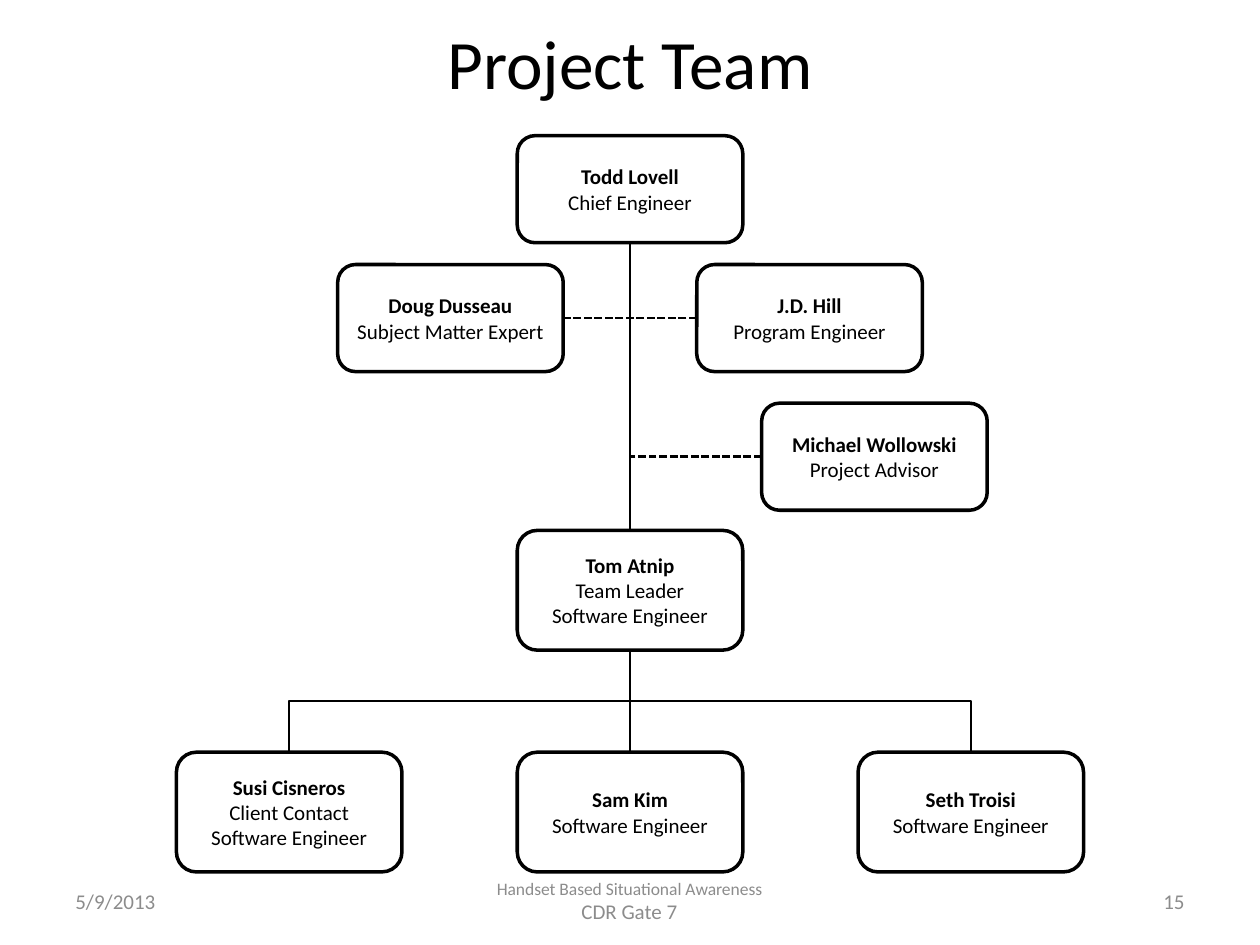
import pptx
import pptx.dml.color
import pptx.enum.dml
import pptx.enum.shapes
import pptx.enum.text
import pptx.oxml.ns
import pptx.util
from lxml import etree

BLACK = pptx.dml.color.RGBColor(0x00, 0x00, 0x00)
WHITE = pptx.dml.color.RGBColor(0xFF, 0xFF, 0xFF)
GRAY = pptx.dml.color.RGBColor(0x8C, 0x8C, 0x8C)
FONT = "Calibri"
SLIDE_W = pptx.util.Inches(10)
SLIDE_H = pptx.util.Inches(7.5)
BOX_W, SHORT, TALL = 17.9, 11.33, 12.67
LEFT_COL, MID_COL, RIGHT_COL = 22.95, 50, 77.05
LEFT_SIDE, RIGHT_SIDE, ADVISOR_COL = 35.75, 64.25, 69.4
CHIEF_ROW, SUPPORT_ROW, ADVISOR_ROW, LEADER_ROW, TEAM_ROW = 14.36, 28, 42.67, 56.13, 79.6
TOP, LEFT, BOTTOM, RIGHT = range(4)
ALIGN = pptx.enum.text.PP_ALIGN
CONNECTOR = pptx.enum.shapes.MSO_CONNECTOR


def across(share):
    return round(SLIDE_W * share / 100)


def down(share):
    return round(SLIDE_H * share / 100)


def style(p, size, color, align, bold=False):
    p.alignment = align
    p.font.name = FONT
    p.font.size = pptx.util.Pt(size)
    p.font.color.rgb = color
    p.font.bold = bold


def add_text(s, x, y, w, h, runs, color, align):
    sp = s.shapes.add_textbox(across(x), down(y), across(w), down(h))
    tf = sp.text_frame
    tf.word_wrap = True
    tf.vertical_anchor = pptx.enum.text.MSO_ANCHOR.MIDDLE
    p = tf.paragraphs[0]
    style(p, runs[0][1], color, align)
    for text, size in runs:
        r = p.add_run()
        r.text = text
        if size != runs[0][1]:
            r.font.size = pptx.util.Pt(size)


def add_person(s, center, top, height, name, *roles):
    sp = s.shapes.add_shape(
        pptx.enum.shapes.MSO_SHAPE.ROUNDED_RECTANGLE,
        across(center - BOX_W / 2), down(top), across(BOX_W), down(height))
    sp.shadow.inherit = False
    sp.fill.solid()
    sp.fill.fore_color.rgb = WHITE
    sp.line.color.rgb = BLACK
    sp.line.width = pptx.util.Pt(2)
    tf = sp.text_frame
    tf.word_wrap = True
    tf.vertical_anchor = pptx.enum.text.MSO_ANCHOR.MIDDLE
    tf.margin_left = tf.margin_right = pptx.util.Inches(0.01)
    tf.margin_top = tf.margin_bottom = pptx.util.Inches(0.01)
    for i, text in enumerate((name, *roles)):
        p = tf.paragraphs[0] if i == 0 else tf.add_paragraph()
        p.text = text
        style(p, 12, BLACK, ALIGN.CENTER, bold=i == 0)
    return sp


def add_link(s, start, start_side, end=None, end_side=TOP,
             kind=CONNECTOR.STRAIGHT, dashed=False, end_at=(0, 0)):
    c = s.shapes.add_connector(kind, 0, 0, *end_at)
    c.begin_connect(start, start_side)
    if end is not None:
        c.end_connect(end, end_side)
    c.line.color.rgb = BLACK
    c.line.width = pptx.util.Pt(1.5)
    if dashed:
        c.line.dash_style = pptx.enum.dml.MSO_LINE.SQUARE_DOT
    etree.SubElement(c.element.spPr, pptx.oxml.ns.qn("a:effectLst"))
    return c


def add_branch(s, leader, member):
    c = add_link(s, leader, BOTTOM, member, TOP, CONNECTOR.ELBOW)
    to_left = member.left < leader.left
    w, h = c.width, c.height
    c.left, c.top = c.left + (w - h) // 2, c.top + (h - w) // 2
    c.width, c.height = h, w
    xfrm = c.element.spPr.xfrm
    xfrm.set("rot", str((90 if to_left else 270) * 60000))
    xfrm.set("flipH", "0" if to_left else "1")


def main():
    prs = pptx.Presentation()
    prs.slide_width, prs.slide_height = SLIDE_W, SLIDE_H
    s = prs.slides.add_slide(prs.slide_layouts[6])

    add_text(s, 38.4, 93.33, 23.1, 4,
             [("Handset Based Situational Awareness ", 10), ("CDR Gate 7", 12)],
             GRAY, ALIGN.CENTER)
    add_text(s, 5, 2, 90, 9.07, [("Project Team", 39.6)], BLACK, ALIGN.CENTER)
    add_text(s, 5, 92.67, 23.3, 5.33, [("5/9/2013", 12)], GRAY, ALIGN.LEFT)
    add_text(s, 71.7, 92.67, 23.3, 5.33, [("15", 12)], GRAY, ALIGN.RIGHT)

    chief = add_person(s, MID_COL, CHIEF_ROW, SHORT, "Todd Lovell", "Chief Engineer")
    leader = add_person(s, MID_COL, LEADER_ROW, TALL,
                        "Tom Atnip", "Team Leader", "Software Engineer")
    team = [
        add_person(s, LEFT_COL, TEAM_ROW, TALL,
                   "Susi Cisneros", "Client Contact", "Software Engineer"),
        add_person(s, MID_COL, TEAM_ROW, TALL, "Sam Kim", "Software Engineer"),
        add_person(s, RIGHT_COL, TEAM_ROW, TALL, "Seth Troisi", "Software Engineer"),
    ]
    for member in team:
        add_branch(s, leader, member)

    program = add_person(s, RIGHT_SIDE, SUPPORT_ROW, SHORT, "J.D. Hill", "Program Engineer")
    expert = add_person(s, LEFT_SIDE, SUPPORT_ROW, SHORT,
                        "Doug Dusseau", "Subject Matter Expert")
    add_link(s, program, LEFT, expert, RIGHT, dashed=True)
    add_link(s, chief, BOTTOM, leader, TOP)

    advisor = add_person(s, ADVISOR_COL, ADVISOR_ROW, SHORT,
                         "Michael Wollowski", "Project Advisor")
    add_link(s, advisor, LEFT, dashed=True,
             end_at=(across(MID_COL), advisor.top + advisor.height // 2))

    prs.save("out.pptx")


if __name__ == "__main__":
    main()
